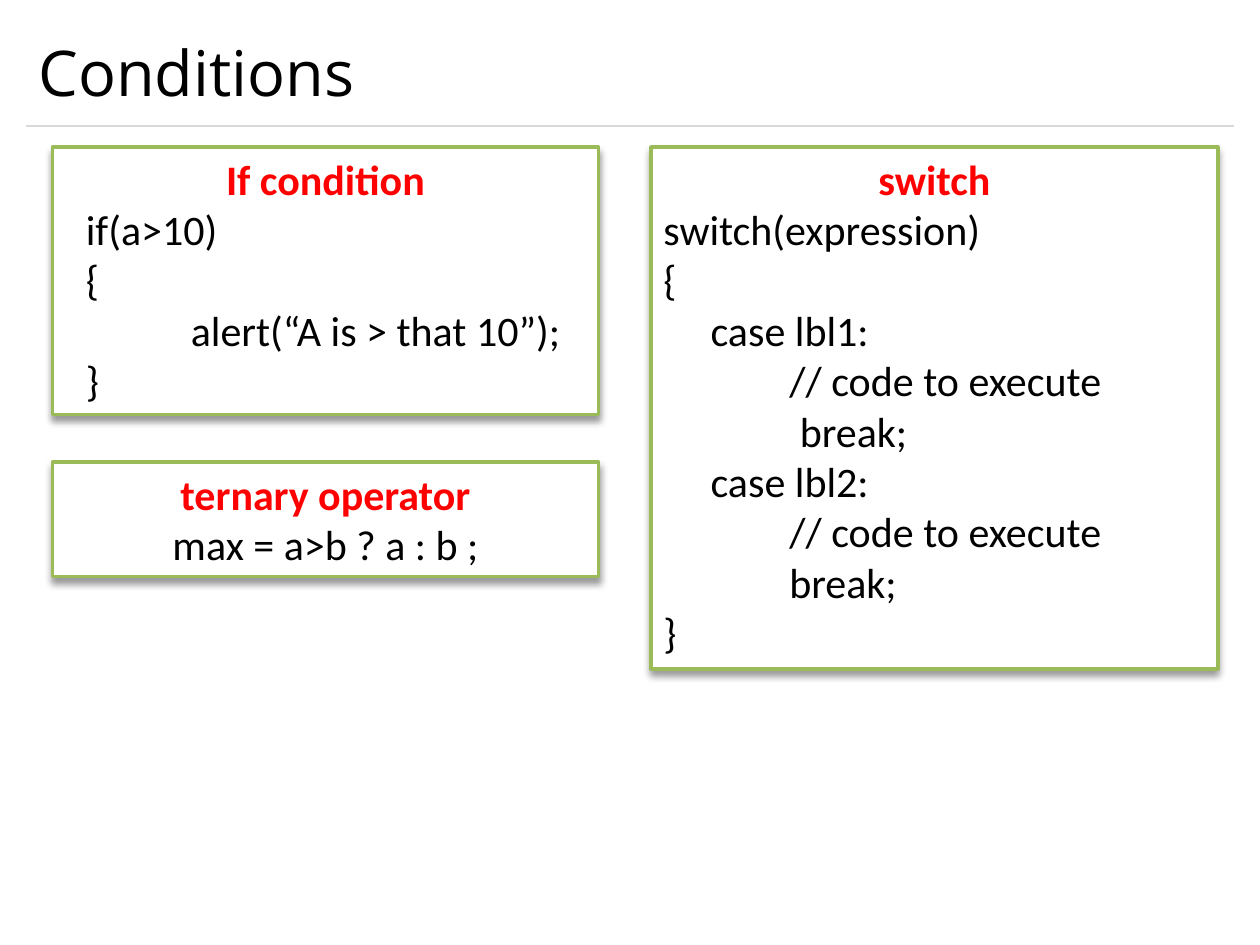
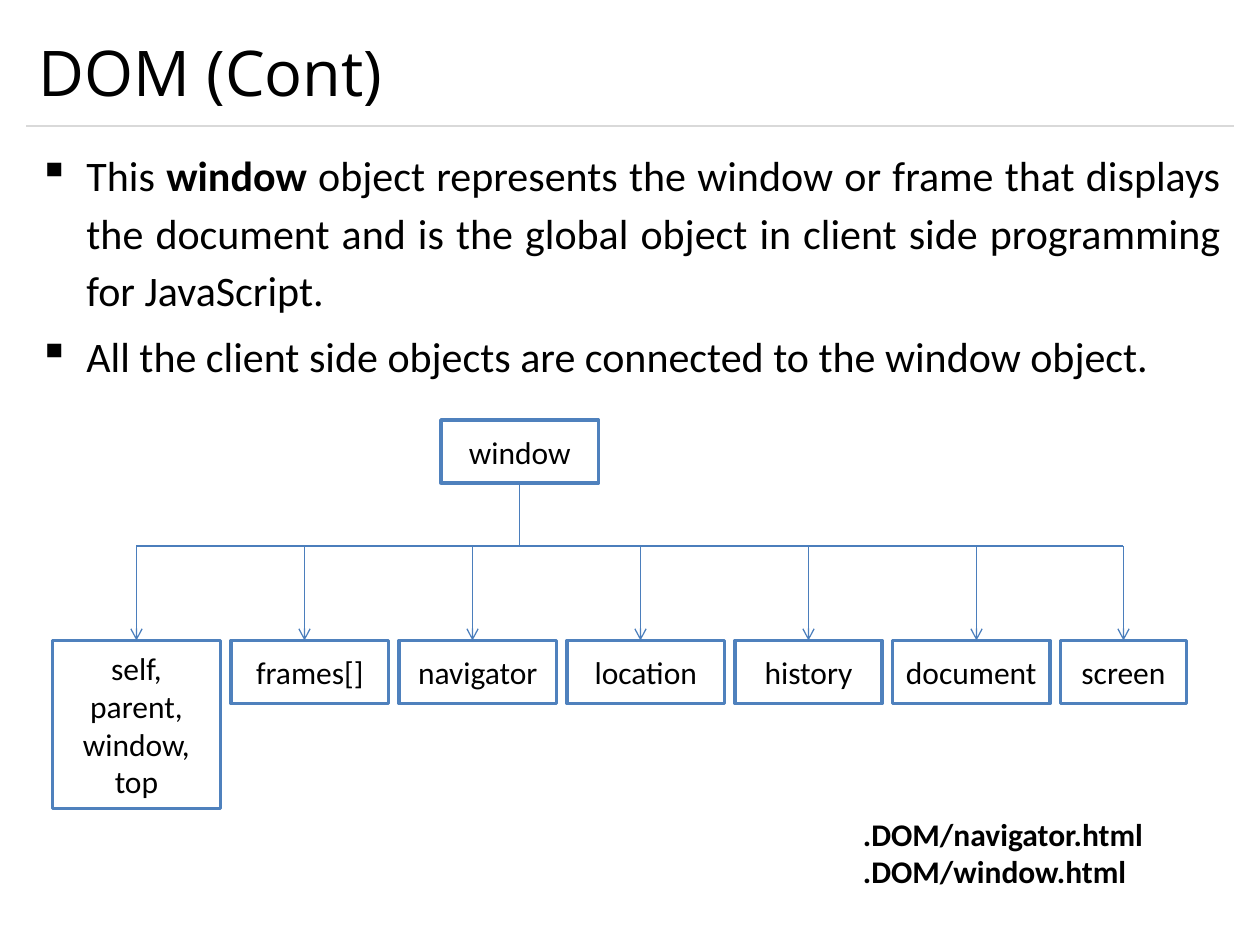
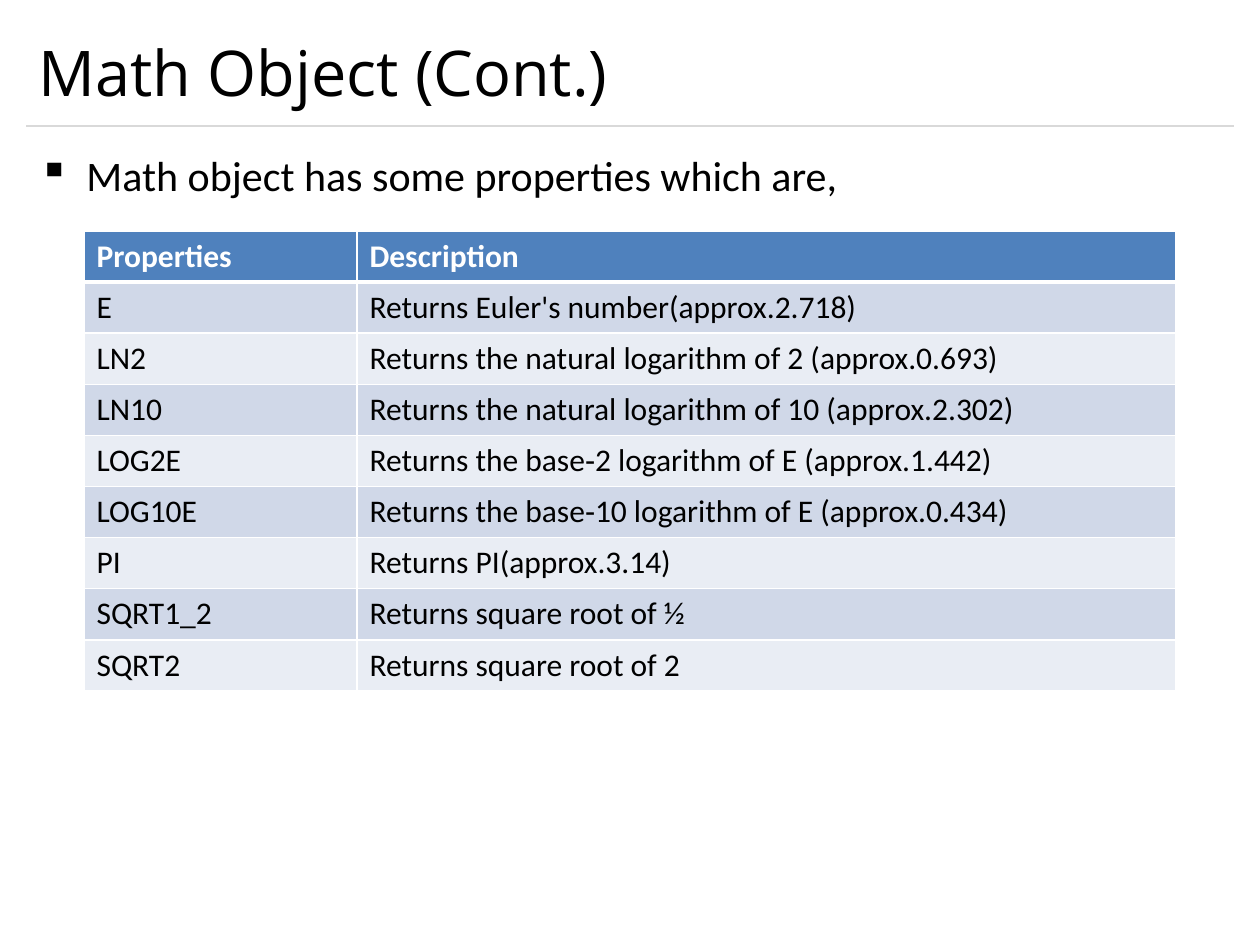
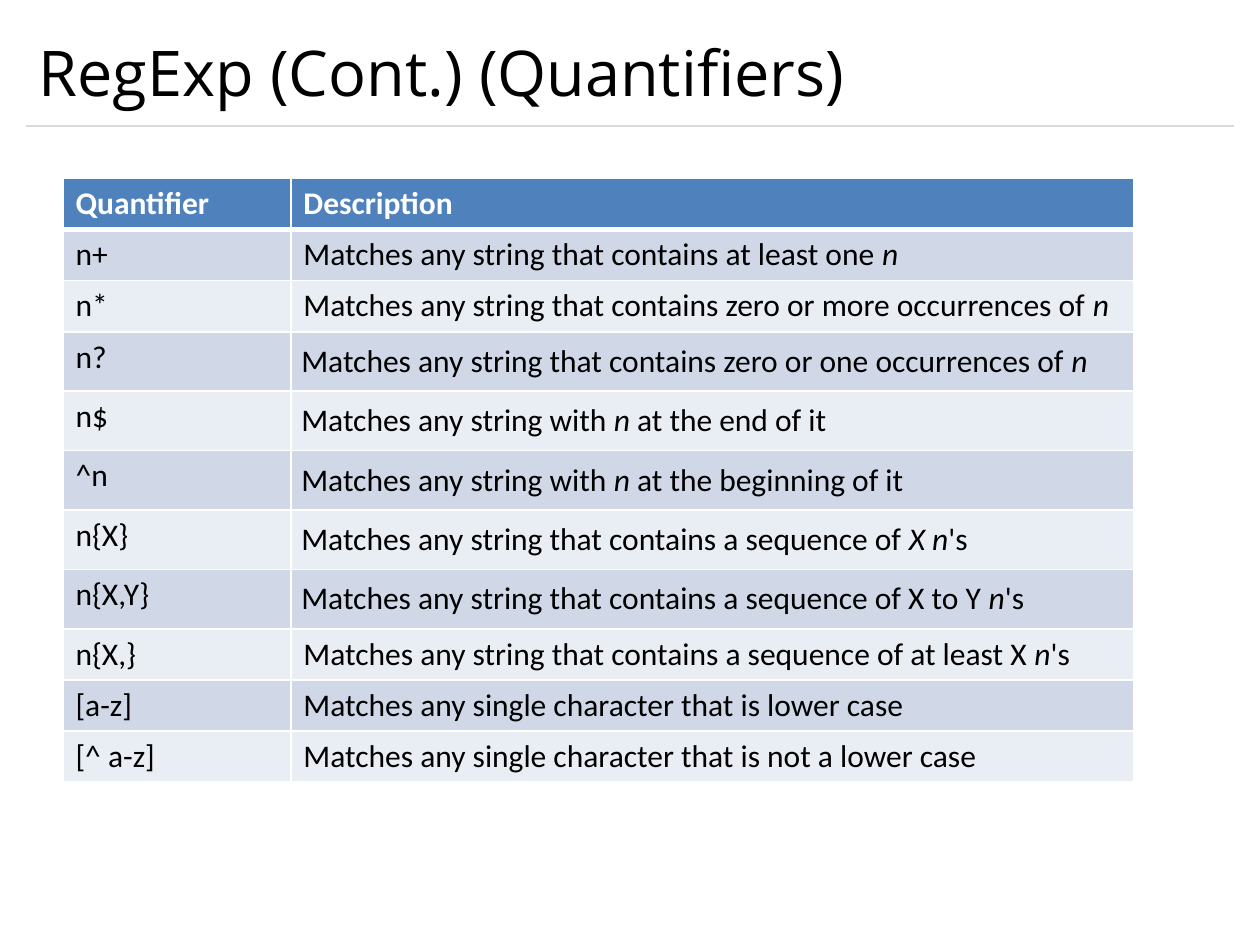
from typing import NamedTuple

from lxml import etree
from pptx import Presentation
from pptx.dml.color import RGBColor
from pptx.enum.shapes import MSO_CONNECTOR, MSO_SHAPE
from pptx.enum.text import MSO_ANCHOR, PP_ALIGN
from pptx.oxml.ns import qn
from pptx.util import Inches, Pt

RECT = MSO_SHAPE.RECTANGLE
STRAIGHT = MSO_CONNECTOR.STRAIGHT
TOP, MIDDLE = MSO_ANCHOR.TOP, MSO_ANCHOR.MIDDLE
LEFT, CENTER, JUSTIFY = PP_ALIGN.LEFT, PP_ALIGN.CENTER, PP_ALIGN.JUSTIFY

WIDE, HIGH = Inches(10), Inches(7.5)
COLS, ROWS = 120, 90
UNIT = WIDE / COLS

BLACK, WHITE, RED = "000000", "FFFFFF", "FF0000"
BLUE, WIRE, GREEN, GREY = "4F81BD", "4B7EBC", "9BBB59", "D9D9D9"
BANDS = ("D0D8E8", "E9EDF4")
BODY, HEAD = "Calibri", "Open Sans"
ROW, TALL = 4.87, 5.66


class Box(NamedTuple):
    """A place on the slide, in grid columns and rows."""
    x: float
    y: float
    w: float
    h: float


class Line(NamedTuple):
    text: str
    left: float = 0


class Panel(NamedTuple):
    box: Box
    head: str
    code: list[Line]
    align: PP_ALIGN = LEFT


class Node(NamedTuple):
    text: str
    w: float
    h: float = 6


class Row(NamedTuple):
    name: str
    text: str
    padded: bool = False


TITLE = Box(2.5, 1.5, 115, 10.5)
CONTENT = Box(2.5, 13, 115, 70)

PANELS = [
    Panel(Box(5, 14, 52, 25.5), "If condition", [
        Line("if(a>10)", 2),
        Line("{", 2),
        Line("alert(“A is > that 10”);", 12),
        Line("}", 2),
    ]),
    Panel(Box(62, 14, 54, 49.7), "switch", [
        Line("switch(expression)"),
        Line("{"),
        Line("case lbl1:", 4.5),
        Line("// code to execute", 12),
        Line("break;", 13),
        Line("case lbl2:", 4.5),
        Line("// code to execute", 12),
        Line("break;", 12),
        Line("}"),
    ]),
    Panel(Box(5, 44, 52, 10.9), "ternary operator",
          [Line("max = a>b ? a : b ;")], CENTER),
]

NODES = [
    Node("self,\nparent,\nwindow,\ntop", 16, 16),
    Node("frames[]", 15),
    Node("navigator", 15),
    Node("location", 15),
    Node("history", 14),
    Node("document", 15),
    Node("screen", 12),
]

MATH = [
    Row("Properties", "Description"),
    Row("E", "Returns Euler's number(approx.2.718)"),
    Row("LN2", "Returns the natural logarithm of 2 (approx.0.693)"),
    Row("LN10", "Returns the natural logarithm of 10 (approx.2.302)"),
    Row("LOG2E", "Returns the base‐2 logarithm of E (approx.1.442)"),
    Row("LOG10E", "Returns the base‐10 logarithm of E (approx.0.434)"),
    Row("PI", "Returns PI(approx.3.14)"),
    Row("SQRT1_2", "Returns square root of ½"),
    Row("SQRT2", "Returns square root of 2"),
]

REGEX = [
    Row("Quantifier", "Description"),
    Row("n+", "Matches any string that contains at least one |n"),
    Row("n*", "Matches any string that contains zero or more occurrences of |n"),
    Row("n?", "Matches any string that contains zero or one occurrences of |n", True),
    Row("n$", "Matches any string with |n| at the end of it", True),
    Row("^n", "Matches any string with |n| at the beginning of it", True),
    Row("n{X}", "Matches any string that contains a sequence of |X n|'s", True),
    Row("n{X,Y}", "Matches any string that contains a sequence of X to Y |n|'s", True),
    Row("n{X,}", "Matches any string that contains a sequence of at least X |n|'s"),
    Row("[a-z]", "Matches any single character that is lower case"),
    Row("[^ a-z]", "Matches any single character that is not a lower case"),
]


def grid(*vals: float) -> list[int]:
    return [round(val * UNIT) for val in vals]


def paint(part, color: str) -> None:
    """Give a fill or a line one solid colour."""
    part.fill.solid()
    part.fill.fore_color.rgb = RGBColor.from_string(color)


def child(node, tag: str, **attrs):
    return etree.SubElement(node, qn(tag), {k: str(v) for k, v in attrs.items()})


def write(frame, lines: list[Line], *, size: float = 18, font: str = BODY,
          color: str = BLACK, bold: bool = False, italic: bool = False,
          align: PP_ALIGN = LEFT, anchor: MSO_ANCHOR = TOP,
          bullet: bool = False) -> None:
    """Add lines; parts between bars are bold in bullets, else italic."""
    frame.word_wrap = True
    frame.vertical_anchor = anchor
    for line in lines:
        para = frame.add_paragraph() if frame.text else frame.paragraphs[0]
        para.alignment = align
        if line.left:
            para._p.get_or_add_pPr().set("marL", str(grid(line.left)[0]))
        if bullet:
            mark(para)
        for i, part in enumerate(line.text.split("|")):
            run = para.add_run()
            run.text = part
            face = run.font
            face.size, face.name = Pt(size), font
            face.bold = bold or (bullet and i % 2 == 1)
            face.italic = italic or (not bullet and i % 2 == 1)
            face.color.rgb = RGBColor.from_string(color)


def mark(para) -> None:
    """Make a paragraph a square bullet with a hanging indent."""
    para.line_spacing = 1.14
    para.space_before = Pt(4.8)
    props = para._p.get_or_add_pPr()
    hang = Inches(0.38)
    props.set("marL", str(hang))
    props.set("indent", str(-hang))
    child(child(props, "a:buClr"), "a:srgbClr", val=BLACK)
    child(props, "a:buChar", char="▪")


def label(slide, box: Box, lines: list[Line], **fmt) -> None:
    write(slide.shapes.add_textbox(*grid(*box)).text_frame, lines, **fmt)


def frame(slide, box: Box, edge: str):
    """Draw a white box with a coloured edge."""
    shape = slide.shapes.add_shape(RECT, *grid(*box))
    shape.shadow.inherit = False
    paint(shape, WHITE)
    paint(shape.line, edge)
    shape.line.width = Pt(2)
    return shape


def rule(slide, x1: float, y1: float, x2: float, y2: float,
         color: str = WIRE, arrow: bool = False) -> None:
    line = slide.shapes.add_connector(STRAIGHT, *grid(x1, y1, x2, y2))
    paint(line.line, color)
    line.line.width = Pt(0.75)
    if arrow:
        child(line.line._get_or_add_ln(), "a:tailEnd", type="arrow")
    child(line._element.spPr, "a:effectLst")


def start(deck, title: str):
    """Add a slide with its title and the rule under it."""
    slide = deck.slides.add_slide(deck.slide_layouts[6])
    rule(slide, TITLE.x, 12, COLS - TITLE.x, 12, GREY)
    label(slide, TITLE, [Line(title)], size=36, font=HEAD, anchor=MIDDLE)
    return slide


def shade(shape) -> None:
    """Add a soft shadow below a shape."""
    glow = child(shape._element.spPr.find(qn("a:effectLst")), "a:outerShdw",
                 blurRad=Pt(4), dist=Pt(3), dir=90 * 60000, rotWithShape=0)
    child(child(glow, "a:srgbClr", val=BLACK), "a:alpha", val=40000)


def panel(slide, item: Panel) -> None:
    shape = frame(slide, item.box, GREEN)
    shade(shape)
    text = shape.text_frame
    write(text, [Line(item.head)], size=24, color=RED, bold=True, align=CENTER)
    write(text, item.code, size=24, align=item.align)


def node(slide, box: Box, text: str) -> None:
    lines = [Line(part) for part in text.split("\n")]
    write(frame(slide, box, BLUE).text_frame, lines, align=CENTER, anchor=MIDDLE)


def tree(slide) -> None:
    """Draw the window box, the rail and the boxes that hang from it."""
    rail, base, first, step = 52, 61, 13, 16
    root = Box(42, 40, 15, 6)
    node(slide, root, "window")
    x = 5
    for i, item in enumerate(NODES):
        node(slide, Box(x, base, item.w, item.h), item.text)
        stem = min(first + step * i, x + item.w / 2 + 0.5 * (item.w % 2))
        if item is NODES[-1]:
            stem = x + item.w / 2
        rule(slide, stem, rail, stem, base, arrow=True)
        x += item.w + 1
    mid = root.x + root.w / 2
    rule(slide, mid, rail, mid, root.y + root.h)
    rule(slide, first, rail, stem, rail)


def edge(cell, top: float, base: float) -> None:
    props = cell._tc.get_or_add_tcPr()
    for side, width in zip("LRTB", (1, 1, top, base)):
        line = child(props, f"a:ln{side}", w=Pt(width))
        child(child(line, "a:solidFill"), "a:srgbClr", val=WHITE)


def table(slide, x: float, y: float, cols: tuple[float, float],
          rows: list[Row]) -> None:
    highs = [TALL if row.padded else ROW for row in rows]
    place = grid(x, y, sum(cols), sum(highs))
    tab = slide.shapes.add_table(len(rows), len(cols), *place).table
    tab.horz_banding = False
    for col, width in zip(tab.columns, grid(*cols)):
        col.width = width
    for r, row in enumerate(rows):
        tab.rows[r].height = grid(highs[r])[0]
        top = r == 0
        for c, text in enumerate((row.name, row.text)):
            cell = tab.cell(r, c)
            edge(cell, 3 if r == 1 else 1, 3 if top else 1)
            paint(cell, BLUE if top else BANDS[(r - 1) % 2])
            if row.padded and c == 1:
                pad = grid(1)[0]
                cell.margin_left = cell.margin_right = pad
                cell.margin_top = cell.margin_bottom = pad
            write(cell.text_frame, [Line(text)], bold=top,
                  color=WHITE if top else BLACK)


def main() -> None:
    deck = Presentation()
    deck.slide_width, deck.slide_height = WIDE, HIGH

    slide = start(deck, "Conditions")
    for item in PANELS:
        panel(slide, item)

    slide = start(deck, "DOM (Cont)")
    label(slide, CONTENT, [
        Line("This |window| object represents the window or frame that "
             "displays the document and is the global object in client side "
             "programming for JavaScript."),
        Line("All the client side objects are connected to the window object."),
    ], size=24, align=JUSTIFY, bullet=True)
    tree(slide)
    label(slide, Box(81, 77, 34, 8.5),
          [Line(".DOM/navigator.html"), Line(".DOM/window.html")], bold=True)

    slide = start(deck, "Math Object (Cont.)")
    label(slide, CONTENT, [Line("Math object has some properties which are,")],
          size=24, bullet=True)
    table(slide, 8, 22, (26, 78), MATH)

    slide = start(deck, "RegExp (Cont.) (Quantifiers)")
    table(slide, 6, 17, (21.7, 80.3), REGEX)

    deck.save("out.pptx")


if __name__ == "__main__":
    main()
